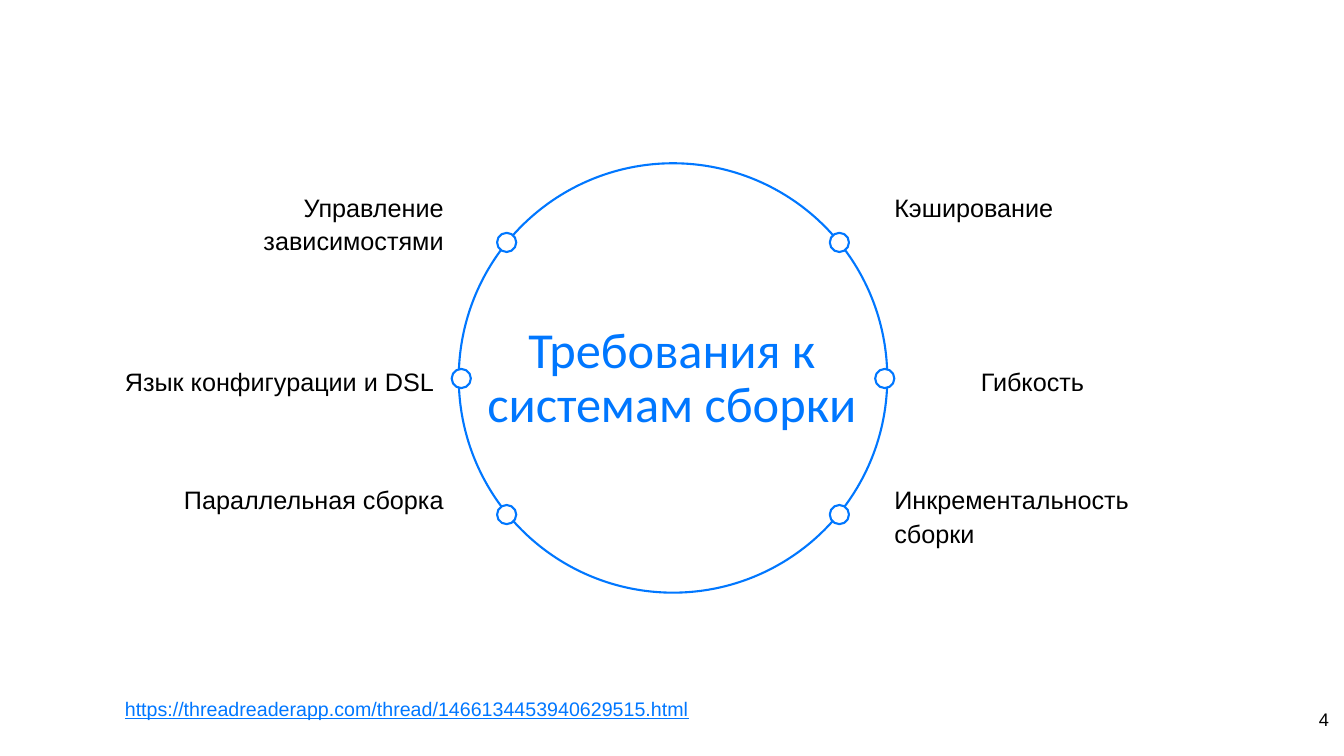
from pptx import Presentation
from pptx.dml.color import RGBColor
from pptx.enum.shapes import MSO_SHAPE
from pptx.enum.text import MSO_ANCHOR, MSO_AUTO_SIZE, PP_ALIGN
from pptx.util import Pt

BLUE = RGBColor(0x00, 0x77, 0xFF)
BLACK = RGBColor(0x00, 0x00, 0x00)
WHITE = RGBColor(0xFF, 0xFF, 0xFF)

TITLE = "Требования к системам сборки"
LINK = "https://threadreaderapp.com/thread/1466134453940629515.html"
PAGE_NUMBER = "4"

# Corner labels: text, left, top, alignment
CORNER_LABELS = [
    ("Кэширование", 887, 183, PP_ALIGN.LEFT),
    ("Инкрементальность сборки", 887, 473, PP_ALIGN.LEFT),
    ("Управление зависимостями", 177, 183, PP_ALIGN.RIGHT),
    ("Параллельная сборка", 177, 473, PP_ALIGN.RIGHT),
]
# Side labels: text, left, alignment
SIDE_LABELS = [
    ("Гибкость", 860, PP_ALIGN.CENTER),
    ("Язык конфигурации и DSL", 114, PP_ALIGN.LEFT),
]

PX = 9144  # 100 px to the inch
DOT = 19
DOT_CENTER_X = 667
DOT_ROWS = [(231, 165), (366, 210), (501, 165)]  # top, distance from the centre
CORNER_INSETS = (0, 5, 10, 5)
EVEN_INSETS = (10, 10, 10, 10)


def scaled(*lengths):
    return [length * PX for length in lengths]


def set_insets(text_frame, insets):
    (text_frame.margin_left, text_frame.margin_top,
     text_frame.margin_right, text_frame.margin_bottom) = scaled(*insets)


def format_text(text_frame, text, size, color, font, align, spacing):
    text_frame.word_wrap = True
    text_frame.text = text
    paragraph = text_frame.paragraphs[0]
    paragraph.alignment = align
    paragraph.line_spacing = spacing
    run_font = paragraph.runs[0].font
    run_font.size = Pt(size)
    run_font.name = font
    run_font.color.rgb = color
    return run_font


def add_label(slide, box, text, insets, align, size=18, color=BLACK,
              spacing=1.1, grow=False):
    text_frame = slide.shapes.add_textbox(*scaled(*box)).text_frame
    set_insets(text_frame, insets)
    run_font = format_text(text_frame, text, size, color, "Arial", align, spacing)
    if grow:
        text_frame.auto_size = MSO_AUTO_SIZE.SHAPE_TO_FIT_TEXT
    return run_font


def add_ring(slide, box, fill=None):
    """Add a blue-outlined ellipse, hollow unless a fill is given."""
    ring = slide.shapes.add_shape(MSO_SHAPE.OVAL, *scaled(*box))
    ring.shadow.inherit = False
    if fill is None:
        ring.fill.background()
    else:
        ring.fill.solid()
        ring.fill.fore_color.rgb = fill
    ring.line.color.rgb = BLUE
    ring.line.width = Pt(1.5)


def main():
    presentation = Presentation()
    presentation.slide_width, presentation.slide_height = scaled(1333, 750)
    slide = presentation.slides.add_slide(presentation.slide_layouts[5])

    add_ring(slide, (455, 162, 425, 426))

    title = slide.shapes.title
    title.left, title.top, title.width, title.height = scaled(471, 315, 391, 176)
    set_insets(title.text_frame, (0, 0, 0, 54))
    title.text_frame.vertical_anchor = MSO_ANCHOR.MIDDLE
    format_text(title.text_frame, TITLE, 36, BLUE, "Calibri", PP_ALIGN.CENTER, 0.9)
    title.text_frame.auto_size = MSO_AUTO_SIZE.NONE

    for text, left, top, align in CORNER_LABELS:
        add_label(slide, (left, top, 273, 116), text, CORNER_INSETS, align)
    for text, left, align in SIDE_LABELS:
        add_label(slide, (left, 350, 328, 50), text, EVEN_INSETS, align, grow=True)

    for top, distance in DOT_ROWS:
        for side in (-1, 1):
            left = DOT_CENTER_X + side * distance - DOT // 2
            add_ring(slide, (left, top, DOT, DOT), WHITE)

    link_font = add_label(slide, (114, 678, 948, 44), LINK, EVEN_INSETS,
                          PP_ALIGN.LEFT, 14, BLUE, 1.15, grow=True)
    link_font.underline = True
    add_label(slide, (1248, 693, 80, 57), PAGE_NUMBER, EVEN_INSETS,
              PP_ALIGN.RIGHT, 13, spacing=1.0)

    presentation.save("out.pptx")


if __name__ == "__main__":
    main()
